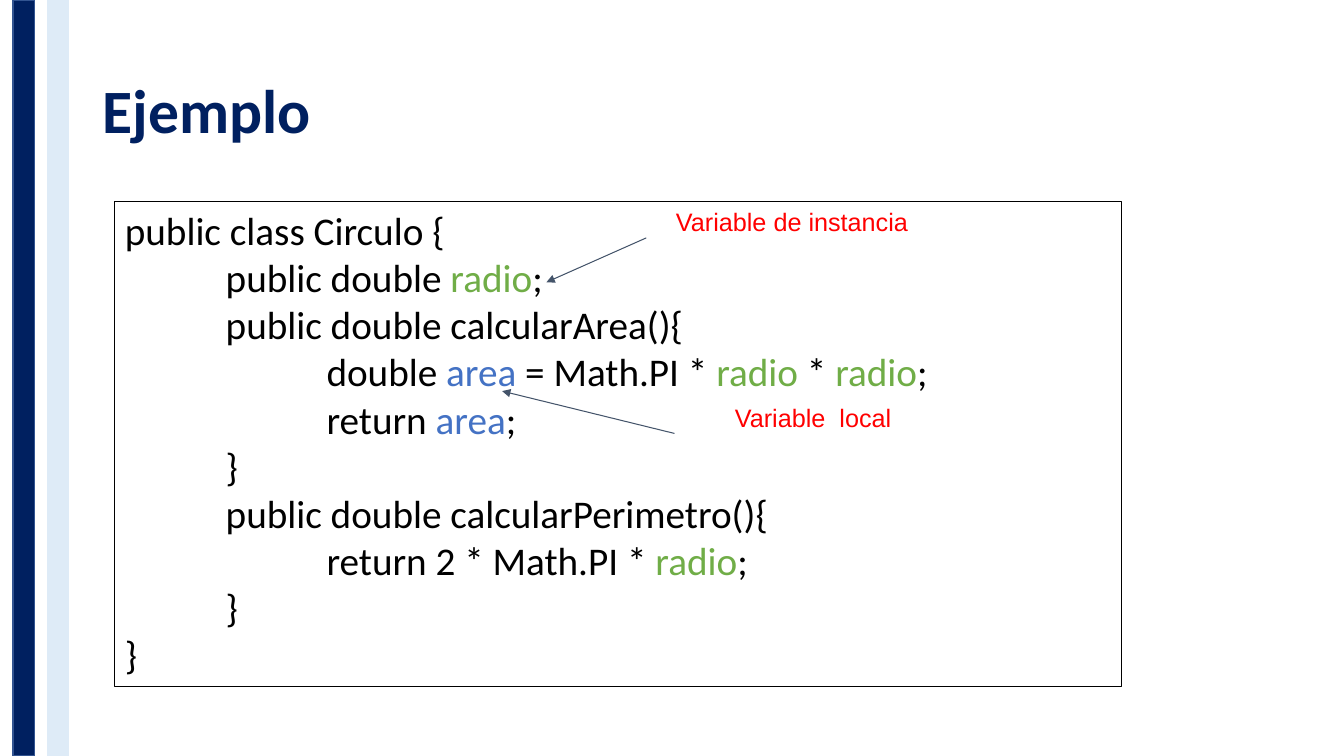
import pptx
import pptx.dml.color
import pptx.enum.shapes
import pptx.enum.text
import pptx.oxml.ns
import pptx.util
from lxml import etree

Inches = pptx.util.Inches
Align = pptx.enum.text.PP_ALIGN
Anchor = pptx.enum.text.MSO_ANCHOR
qn = pptx.oxml.ns.qn

COLORS = {
    "navy": "002060",
    "navy edge": "325491",
    "pale": "DEEBF7",
    "black": "000000",
    "green": "70AD47",
    "blue": "4472C4",
    "red": "FF0000",
    "slate": "44546A",
}

# Variables are set off by bars; each one has its own colour
VARIABLE_COLORS = {"radio": "green", "area": "blue"}
CODE = [
    "public class Circulo {",
    "\tpublic double |radio|;",
    "\tpublic double calcularArea(){",
    "\t\tdouble |area| = Math.PI * |radio| * |radio|;",
    "\t\treturn |area|;",
    "\t}",
    "\tpublic double calcularPerimetro(){",
    "\t\treturn 2 * Math.PI * |radio|;",
    "\t}",
    "}",
]


def rgb(name):
    return pptx.dml.color.RGBColor.from_string(COLORS[name])


def add_text(para, text, size=28, font="Calibri", color="black", bold=False):
    span = para.add_run()
    span.text = text
    span.font.size = pptx.util.Pt(size)
    span.font.name = font
    span.font.bold = bold
    span.font.color.rgb = rgb(color)


def add_tab_stops(para, positions):
    stops = etree.SubElement(para._p.get_or_add_pPr(), qn("a:tabLst"))
    for position in positions:
        etree.SubElement(stops, qn("a:tab"), pos=str(Inches(position)), algn="l")


class SlideBuilder:
    def __init__(self, page):
        self.page = page

    def rectangle(self, left, top, width, height, fill=None, line="black", weight=1):
        box = self.page.shapes.add_shape(
            pptx.enum.shapes.MSO_SHAPE.RECTANGLE,
            Inches(left), Inches(top), Inches(width), Inches(height))
        box.shadow.inherit = False
        if fill:
            box.fill.solid()
            box.fill.fore_color.rgb = rgb(fill)
        else:
            box.fill.background()
        box.line.color.rgb = rgb(line)
        box.line.width = pptx.util.Pt(weight)
        return box

    def label(self, text, left, top, width, height, align=Align.LEFT,
              anchor=Anchor.TOP, spacing=1.0, **style):
        box = self.page.shapes.add_textbox(
            Inches(left), Inches(top), Inches(width), Inches(height))
        frame = box.text_frame
        frame.word_wrap = True
        frame.vertical_anchor = anchor
        para = frame.paragraphs[0]
        para.alignment = align
        para.line_spacing = spacing
        add_text(para, text, **style)

    def code(self, lines, left, top, width, height):
        frame = self.rectangle(left, top, width, height, weight=0.75).text_frame
        frame.word_wrap = True
        frame.vertical_anchor = Anchor.TOP
        for index, line in enumerate(lines):
            para = frame.add_paragraph() if index else frame.paragraphs[0]
            para.alignment = Align.LEFT
            add_tab_stops(para, (1, 2))
            for part in line.split("|"):
                add_text(para, part, color=VARIABLE_COLORS.get(part, "black"))

    def arrow(self, start, end):
        arrow = self.page.shapes.add_connector(
            pptx.enum.shapes.MSO_CONNECTOR.STRAIGHT,
            *(Inches(value) for value in (*start, *end)))
        arrow.line.color.rgb = rgb("slate")
        arrow.line.width = pptx.util.Pt(0.75)
        properties = arrow._element.spPr
        etree.SubElement(properties.find(qn("a:ln")), qn("a:tailEnd"), type="triangle")
        etree.SubElement(properties, qn("a:effectLst"))


def main():
    deck = pptx.Presentation()
    deck.slide_width = Inches(13.33)
    deck.slide_height = Inches(7.5)
    builder = SlideBuilder(deck.slides.add_slide(deck.slide_layouts[6]))

    # Side bands
    builder.rectangle(0.13, 0, 0.21, 7.5, fill="navy", line="navy edge")
    builder.rectangle(0.47, 0, 0.21, 7.5, fill="pale", line="pale")

    # Title
    builder.label("Ejemplo", 0.92, 0.4, 11.5, 1.45, anchor=Anchor.MIDDLE,
                  spacing=0.9, size=44, color="navy", bold=True)

    # Code listing
    builder.code(CODE, 1.14, 2, 9.98, 4.81)

    # Notes on the variables, each with its arrow
    note = {"align": Align.CENTER, "size": 18, "font": "Arial", "color": "red"}
    builder.label("Variable de instancia", 6.46, 2, 2.79, 0.68, **note)
    builder.arrow((6.41, 2.36), (5.42, 2.8))
    builder.label("Variable  local", 6.73, 3.94, 2.67, 0.37, **note)
    builder.arrow((6.69, 4.3), (4.98, 3.88))

    deck.save("out.pptx")


if __name__ == "__main__":
    main()
